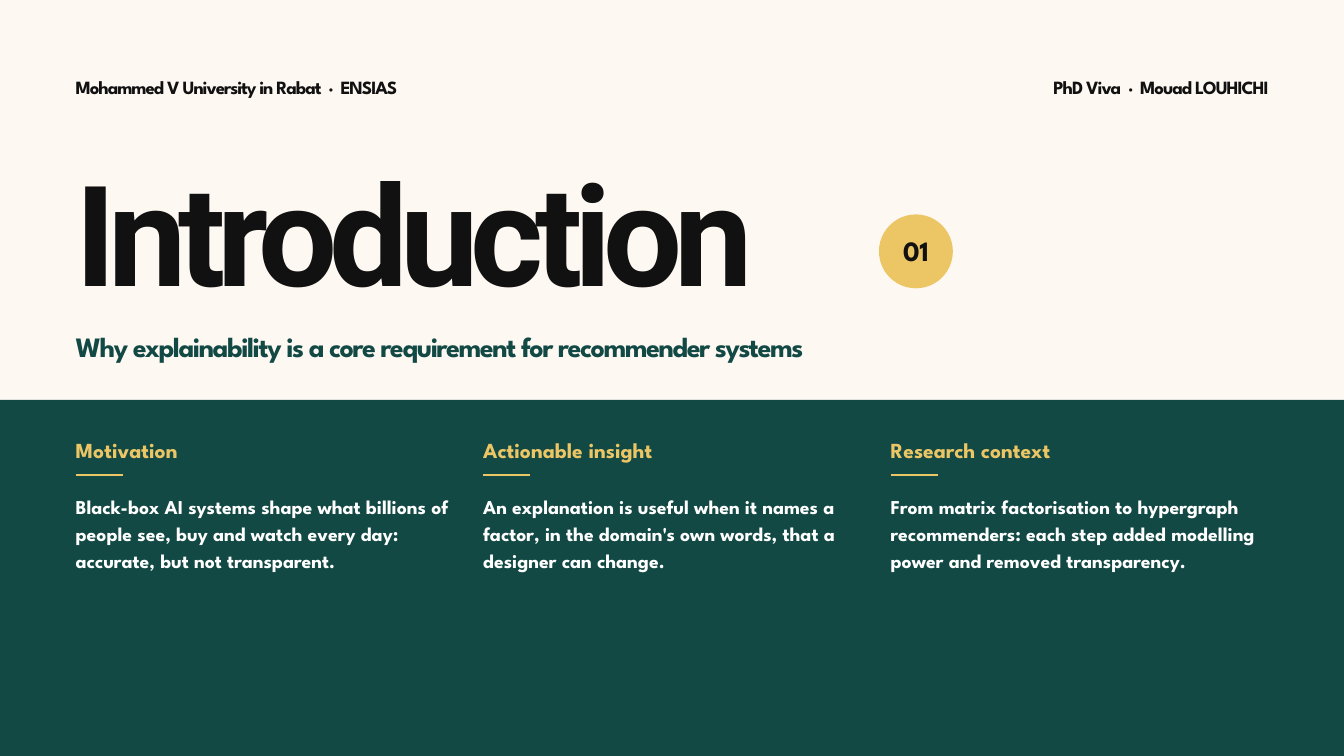
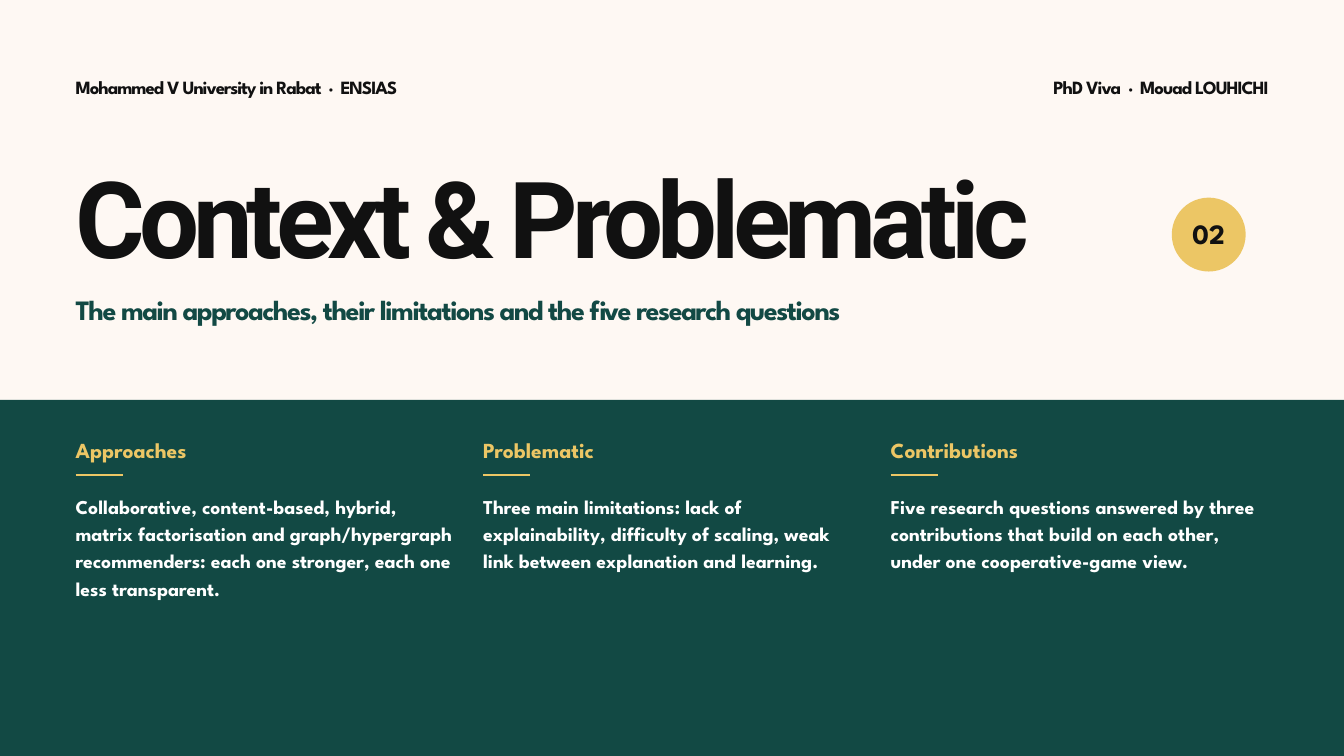
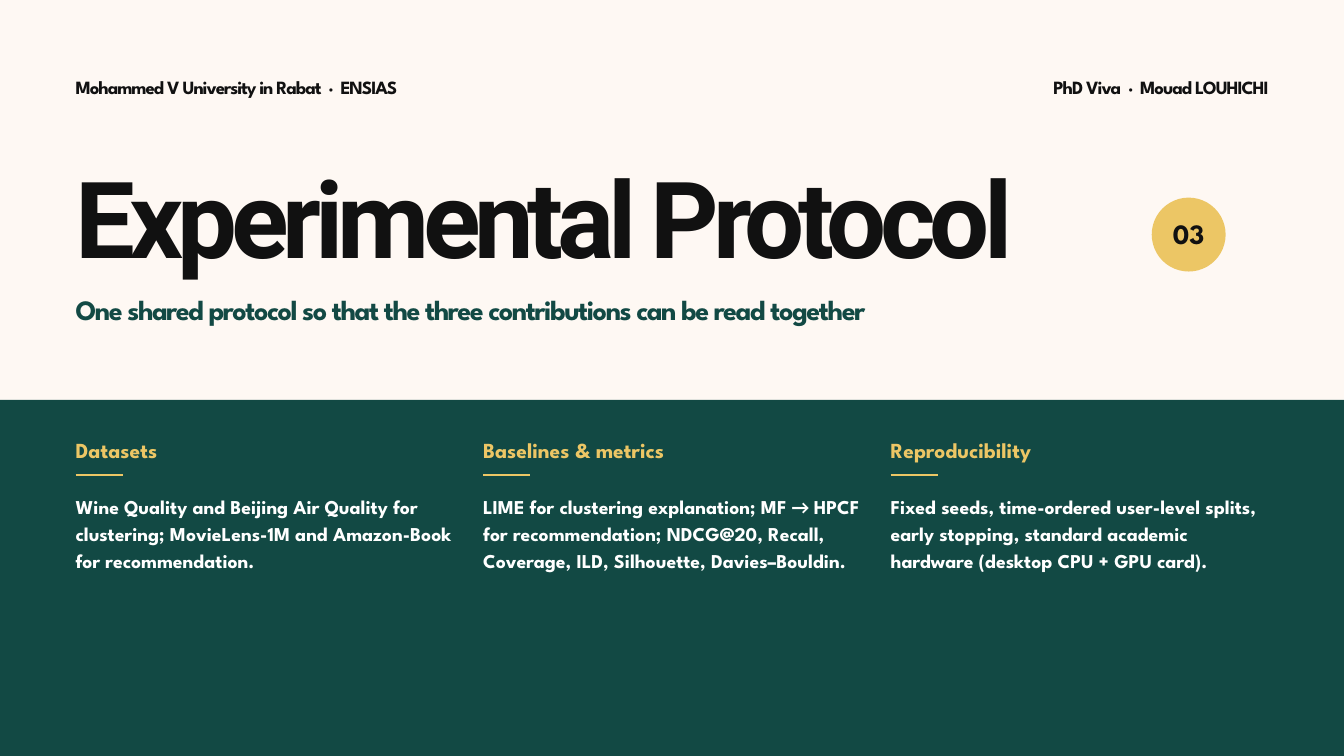
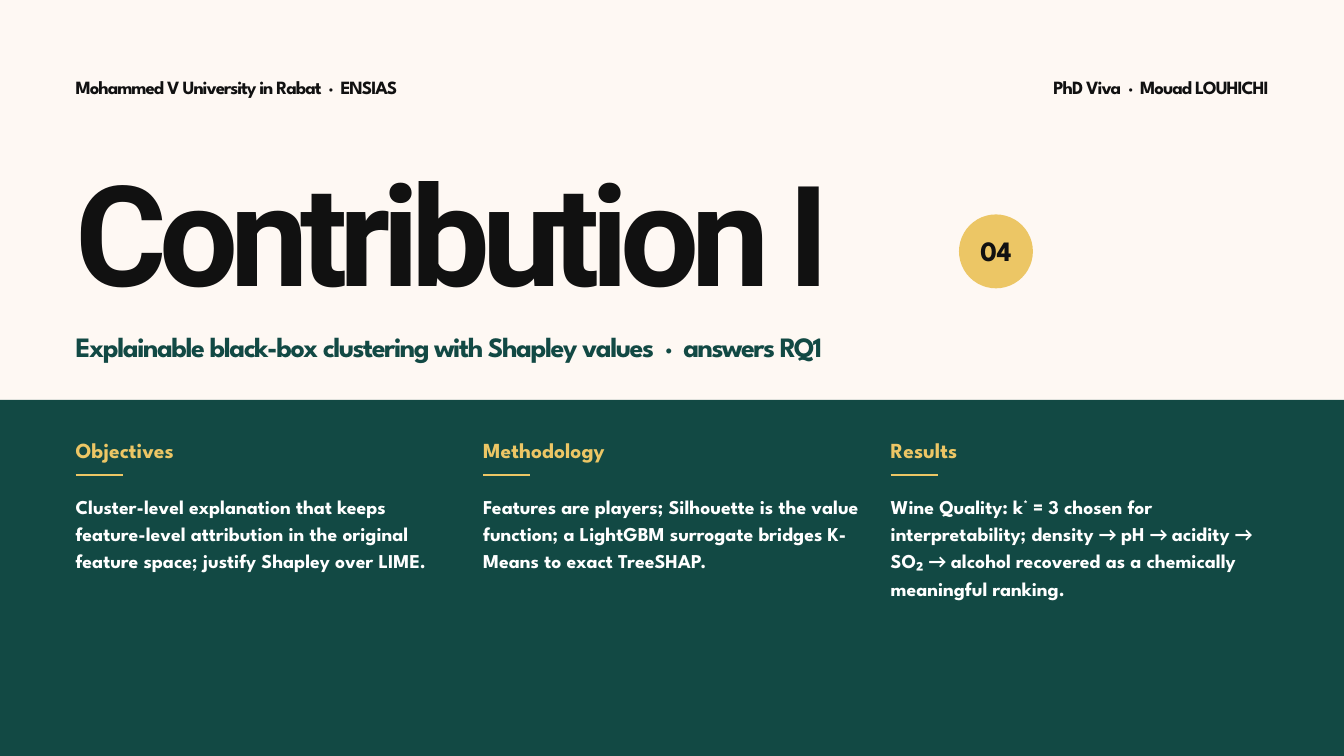
from dataclasses import dataclass

from lxml import etree
from pptx import Presentation
from pptx.dml.color import RGBColor
from pptx.enum.shapes import MSO_CONNECTOR, MSO_SHAPE
from pptx.enum.text import MSO_ANCHOR, MSO_AUTO_SIZE, PP_ALIGN
from pptx.oxml.ns import qn
from pptx.util import Pt

LEFT, CENTER, RIGHT = PP_ALIGN.LEFT, PP_ALIGN.CENTER, PP_ALIGN.RIGHT
TOP, MIDDLE = MSO_ANCHOR.TOP, MSO_ANCHOR.MIDDLE
NO_AUTOFIT = MSO_AUTO_SIZE.NONE
STRAIGHT = MSO_CONNECTOR.STRAIGHT
RECTANGLE, ELLIPSE = MSO_SHAPE.RECTANGLE, MSO_SHAPE.OVAL

INSTITUTION = "Mohammed V University in Rabat  ·  ENSIAS"
CANDIDATE = "PhD Viva  ·  Mouad LOUHICHI"

SECTIONS = [
    {
        "title": "Introduction",
        "title_style": "large",
        "badge_left": 941.75,
        "subtitle": "Why explainability is a core requirement for recommender systems",
        "columns": [
            ("Motivation",
             "Black-box AI systems shape what billions of people see, buy and watch "
             "every day: accurate, but not transparent."),
            ("Actionable insight",
             "An explanation is useful when it names a factor, in the domain's own "
             "words, that a designer can change."),
            ("Research context",
             "From matrix factorisation to hypergraph recommenders: each step added "
             "modelling power and removed transparency."),
        ],
    },
    {
        "title": "Context & Problematic",
        "title_style": "small",
        "badge_left": 1255.5,
        "subtitle": "The main approaches, their limitations and the five research questions",
        "columns": [
            ("Approaches",
             "Collaborative, content-based, hybrid, matrix factorisation and "
             "graph/hypergraph recommenders: each one stronger, each one less "
             "transparent."),
            ("Problematic",
             "Three main limitations: lack of explainability, difficulty of scaling, "
             "weak link between explanation and learning."),
            ("Contributions",
             "Five research questions answered by three contributions that build on "
             "each other, under one cooperative-game view."),
        ],
    },
    {
        "title": "Experimental Protocol",
        "title_style": "small",
        "badge_left": 1234,
        "subtitle": "One shared protocol so that the three contributions can be read together",
        "columns": [
            ("Datasets",
             "Wine Quality and Beijing Air Quality for clustering; MovieLens-1M and "
             "Amazon-Book for recommendation."),
            ("Baselines & metrics",
             "LIME for clustering explanation; MF → HPCF for recommendation; NDCG@20, "
             "Recall, Coverage, ILD, Silhouette, Davies–Bouldin."),
            ("Reproducibility",
             "Fixed seeds, time-ordered user-level splits, early stopping, standard "
             "academic hardware (desktop CPU + GPU card)."),
        ],
    },
    {
        "title": "Contribution I",
        "title_style": "large",
        "badge_left": 1027.5,
        "subtitle": "Explainable black-box clustering with Shapley values  ·  answers RQ1",
        "columns": [
            ("Objectives",
             "Cluster-level explanation that keeps feature-level attribution in the "
             "original feature space; justify Shapley over LIME."),
            ("Methodology",
             "Features are players; Silhouette is the value function; a LightGBM "
             "surrogate bridges K-Means to exact TreeSHAP."),
            ("Results",
             "Wine Quality: k* = 3 chosen for interpretability; density → pH → "
             "acidity → SO₂ → alcohol recovered as a chemically meaningful ranking."),
        ],
    },
]


@dataclass(frozen=True)
class Theme:
    cream: RGBColor = RGBColor.from_string("FEF8F3")
    ink: RGBColor = RGBColor.from_string("111111")
    green: RGBColor = RGBColor.from_string("124944")
    gold: RGBColor = RGBColor.from_string("ECC665")
    white: RGBColor = RGBColor.from_string("FFFFFF")
    text_font: str = "League Spartan"
    title_font: str = "Roboto"
    symbol_font: str = "Calibri"
    header_size: float = 20
    badge_size: float = 30
    subtitle_size: float = 30
    heading_size: float = 23
    body_size: float = 21


THEME = Theme()
TITLE_STYLES = {
    "large": {"size": 150, "line": 153, "spacing": -8.7, "height": 180,
              "badge_top": 229.75, "subtitle_top": 351.25},
    "small": {"size": 114, "line": 116.3, "spacing": -6.6, "height": 137,
              "badge_top": 211.75, "subtitle_top": 311},
}
MARKS = {"→ ": {"font": THEME.symbol_font}, "*": {"baseline": 30000}}

SLIDE_WIDTH, SLIDE_HEIGHT = 1440, 810
MARGIN = 81
CONTENT_WIDTH = SLIDE_WIDTH - 2 * MARGIN
HEADER_TOP, HEADER_WIDTH, HEADER_HEIGHT = 77.75, 576, 29
TITLE_TOP, TITLE_WIDTH = 183.6, 1170
SUBTITLE_HEIGHT = 50.4
BADGE_DIAMETER = 79.2
BAND_TOP = 428.4
COLUMN_COUNT, COLUMN_GAP = 3, 32
COLUMN_WIDTH = (CONTENT_WIDTH - (COLUMN_COUNT - 1) * COLUMN_GAP) / COLUMN_COUNT
HEADING_TOP, HEADING_HEIGHT = 468, 36
RULE_TOP, RULE_LENGTH = 509, 50.4
BODY_TOP, BODY_HEIGHT = 525.6, 244.8


def points(*lengths):
    return [Pt(length) for length in lengths]


def split_marks(text):
    for mark in MARKS:
        text = text.replace(mark, f"|{mark}|")
    return [piece for piece in text.split("|") if piece]


def write_text(shape, text, *, size, line, color=THEME.ink, font=THEME.text_font,
               align=LEFT, anchor=TOP, spacing=0):
    frame = shape.text_frame
    frame.auto_size = NO_AUTOFIT
    frame.word_wrap = True
    frame.vertical_anchor = anchor
    frame.margin_left = frame.margin_top = frame.margin_right = frame.margin_bottom = 0
    paragraph = frame.paragraphs[0]
    paragraph.alignment = align
    paragraph.line_spacing = Pt(line)
    paragraph.space_before = Pt(0)
    for piece in split_marks(text):
        mark = MARKS.get(piece, {})
        run = paragraph.add_run()
        run.text = piece
        run.font.name = mark.get("font", font)
        run.font.size = Pt(size)
        run.font.bold = True
        run.font.color.rgb = color
        properties = run._r.get_or_add_rPr()
        if spacing:
            properties.set("spc", str(round(spacing * 100)))
        if "baseline" in mark:
            properties.set("baseline", str(mark["baseline"]))


def add_text(slide, text, left, top, width, height, **text_format):
    write_text(slide.shapes.add_textbox(*points(left, top, width, height)),
               text, **text_format)


def fill_placeholder(placeholder, text, left, top, width, height, **text_format):
    (placeholder.left, placeholder.top,
     placeholder.width, placeholder.height) = points(left, top, width, height)
    write_text(placeholder, text, **text_format)


def add_filled_shape(slide, kind, color, left, top, width, height):
    shape = slide.shapes.add_shape(kind, *points(left, top, width, height))
    shape.shadow.inherit = False
    shape.fill.solid()
    shape.fill.fore_color.rgb = color
    shape.line.fill.background()
    return shape


def add_rule(slide, left, top, length):
    rule = slide.shapes.add_connector(STRAIGHT, *points(left, top, left + length, top))
    rule.line.color.rgb = THEME.gold
    rule.line.width = Pt(2.5)
    etree.SubElement(rule._element.spPr, qn("a:effectLst"))


def add_header(slide):
    right_left = SLIDE_WIDTH - MARGIN - HEADER_WIDTH
    for text, left, align in ((INSTITUTION, MARGIN, LEFT), (CANDIDATE, right_left, RIGHT)):
        add_text(slide, text, left, HEADER_TOP, HEADER_WIDTH, HEADER_HEIGHT,
                 size=THEME.header_size, line=28, align=align, spacing=-1.1)


def add_column(slide, index, heading, body):
    left = MARGIN + index * (COLUMN_WIDTH + COLUMN_GAP)
    add_text(slide, heading, left, HEADING_TOP, COLUMN_WIDTH, HEADING_HEIGHT,
             size=THEME.heading_size, line=28, color=THEME.gold)
    add_rule(slide, left, RULE_TOP, RULE_LENGTH)
    add_text(slide, body, left, BODY_TOP, COLUMN_WIDTH, BODY_HEIGHT,
             size=THEME.body_size, line=29.4, color=THEME.white)


def add_section(presentation, number, section):
    slide = presentation.slides.add_slide(presentation.slide_layouts[0])
    style = TITLE_STYLES[section["title_style"]]
    add_header(slide)
    fill_placeholder(slide.shapes.title, section["title"],
                     MARGIN, TITLE_TOP, TITLE_WIDTH, style["height"],
                     size=style["size"], line=style["line"],
                     font=THEME.title_font, spacing=style["spacing"])
    badge = add_filled_shape(slide, ELLIPSE, THEME.gold, section["badge_left"],
                             style["badge_top"], BADGE_DIAMETER, BADGE_DIAMETER)
    write_text(badge, f"{number:02d}", size=THEME.badge_size, line=34,
               align=CENTER, anchor=MIDDLE)
    fill_placeholder(slide.placeholders[1], section["subtitle"],
                     MARGIN, style["subtitle_top"], CONTENT_WIDTH, SUBTITLE_HEIGHT,
                     size=THEME.subtitle_size, line=38, color=THEME.green, spacing=-1.5)
    add_filled_shape(slide, RECTANGLE, THEME.green,
                     0, BAND_TOP, SLIDE_WIDTH, SLIDE_HEIGHT - BAND_TOP)
    for index, (heading, body) in enumerate(section["columns"]):
        add_column(slide, index, heading, body)


def main():
    presentation = Presentation()
    presentation.slide_width, presentation.slide_height = points(SLIDE_WIDTH, SLIDE_HEIGHT)
    background = presentation.slide_master.background.fill
    background.solid()
    background.fore_color.rgb = THEME.cream
    for number, section in enumerate(SECTIONS, start=1):
        add_section(presentation, number, section)
    presentation.save("out.pptx")


if __name__ == "__main__":
    main()
